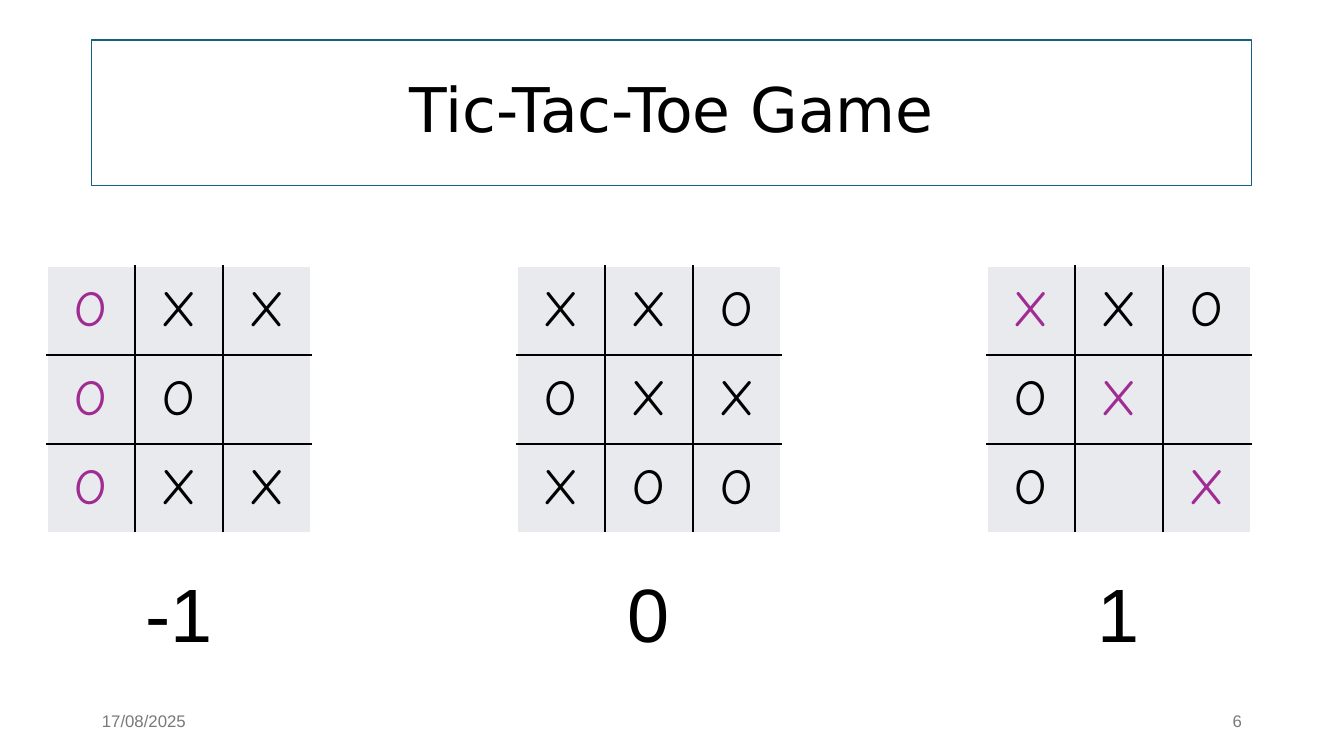
"""Build the Tic-Tac-Toe slide: three finished boards with their scores."""
from lxml import etree
from pptx import Presentation, util as u
from pptx.dml.color import RGBColor
from pptx.enum import shapes, text
from pptx.oxml.ns import qn

COLORS = {"ink": "000000", "win": "A02B93", "cell": "E8EAED",
          "paper": "FFFFFF", "frame": "156082", "footer": "797979"}
BOARDS = [
    ("-1", 89, ["OXX", "OO ", "OXX"], [(0, 0), (1, 0), (2, 0)]),
    ("0", 62, ["XXO", "OXX", "XOO"], []),
    ("1", 62, ["XXO", "OX ", "O X"], [(0, 0), (1, 1), (2, 2)]),
]
BOARD_LEFT, BOARD_TOP, BOARD_STEP = 47, 266, 470
COL_W, ROW_H = 88, 89


def px(n):
    return u.Emu(round(n * 914400 / 100.8))


def write(tf, words, size, font="Arial", color="ink", align="CENTER", spacing=None):
    p = tf.paragraphs[0]
    p.alignment = text.PP_ALIGN[align]
    p.line_spacing = spacing
    r = p.add_run()
    r.text = words
    r.font.size = u.Pt(size)
    r.font.name = font
    r.font.color.rgb = RGBColor.from_string(COLORS[color])


prs = Presentation()
prs.slide_width, prs.slide_height = px(1344), px(756)
s = prs.slides.add_slide(prs.slide_layouts[6])

title = s.shapes.add_shape(shapes.MSO_SHAPE.RECTANGLE, px(92), px(40), px(1160), px(146))
title.shadow.inherit = False
title.fill.background()
title.line.color.rgb = RGBColor.from_string(COLORS["frame"])
title.line.width = u.Pt(0.75)
title.text_frame.vertical_anchor = text.MSO_ANCHOR.MIDDLE
write(title.text_frame, "Tic-Tac-Toe Game", 44, font="DejaVu Sans", spacing=0.9)

for i, (score, score_w, rows, wins) in enumerate(BOARDS):
    left = BOARD_LEFT + i * BOARD_STEP
    table = s.shapes.add_table(3, 3, px(left), px(BOARD_TOP), px(3 * COL_W), px(3 * ROW_H)).table
    table.first_row = table.horz_banding = False
    for n in range(3):
        table.columns[n].width = px(COL_W)
        table.rows[n].height = px(ROW_H)
    for row, marks in enumerate(rows):
        for col, mark in enumerate(marks):
            cell = table.cell(row, col)
            cell.vertical_anchor = text.MSO_ANCHOR.MIDDLE
            tcPr = cell._tc.get_or_add_tcPr()
            outer = {"lnL": col == 0, "lnR": col == 2, "lnT": row == 0, "lnB": row == 2}
            for side, is_outer in outer.items():
                ln = etree.SubElement(tcPr, qn("a:" + side), w="12700")
                fill = etree.SubElement(ln, qn("a:solidFill"))
                etree.SubElement(fill, qn("a:srgbClr"), val=COLORS["paper" if is_outer else "ink"])
            cell.fill.solid()
            cell.fill.fore_color.rgb = RGBColor.from_string(COLORS["cell"])
            if mark != " ":
                color = "win" if (row, col) in wins else "ink"
                write(cell.text_frame, mark, 36, font="Comic Neue", color=color)

    center = left + 3 * COL_W / 2
    sp = s.shapes.add_textbox(px(center - score_w / 2), px(562), px(score_w), px(102))
    sp.text_frame.word_wrap = False
    sp.text_frame.auto_size = text.MSO_AUTO_SIZE.SHAPE_TO_FIT_TEXT
    write(sp.text_frame, score, 54)

for words, left, align in [("17/08/2025", 92, "LEFT"), ("6", 950, "RIGHT")]:
    sp = s.shapes.add_textbox(px(left), px(701), px(302), px(40))
    sp.text_frame.word_wrap = True
    sp.text_frame.vertical_anchor = text.MSO_ANCHOR.MIDDLE
    write(sp.text_frame, words, 12, color="footer", align=align)

prs.save("out.pptx")
